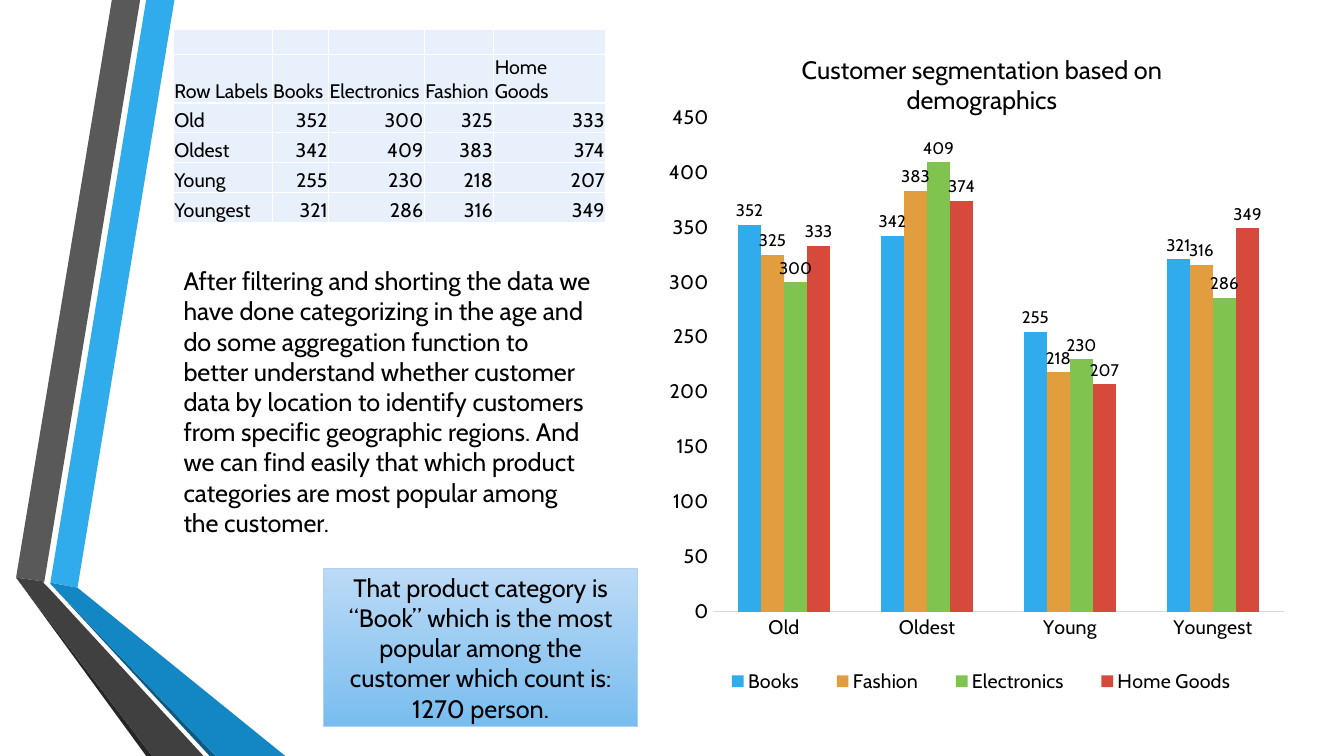
from lxml.etree import SubElement
from pptx import Presentation
from pptx.chart.data import CategoryChartData
from pptx.dml.color import RGBColor
from pptx.enum.chart import XL_CHART_TYPE as ChartType, XL_LABEL_POSITION as LabelPosition
from pptx.enum.chart import XL_LEGEND_POSITION as LegendPosition, XL_TICK_MARK as TickMark
from pptx.enum.shapes import MSO_SHAPE as Shape
from pptx.enum.text import MSO_ANCHOR as Anchor, MSO_AUTO_SIZE as AutoSize, PP_ALIGN as Align
from pptx.oxml.ns import qn
from pptx.util import Pt

FONT = "Cabin"
BLACK, WHITE = "000000", "FFFFFF"
TABLE_FILL = "E8F1FB"

# Fill and corner points of each ribbon facet
RIBBONS = [
    ("30ACEC", [(36, 416.2), (55.4, 419.8), (124.6, 0), (104.4, 0)]),
    ("595959", [(100.1, 0), (79.9, 0), (11.5, 412.6), (31.7, 415.4)]),
    ("262626", [(11.5, 412.6), (104.4, 540), (108.7, 540)]),
    ("0C5A82", [(36, 416.9), (149.8, 540), (154.1, 540)]),
    ("1287C3", [(36, 416.9), (154.1, 540), (203.8, 540), (55.4, 419.8), (36, 416.2)]),
    ("404040", [(145.4, 540), (34.6, 419.8), (31, 416.2), (31.7, 415.4),
                (11.5, 412.6), (108.7, 540)]),
]

AGE_GROUPS = ["Old", "Oldest", "Young", "Youngest"]
SALES = {
    "Books": [352, 342, 255, 321],
    "Electronics": [300, 409, 230, 286],
    "Fashion": [325, 383, 218, 316],
    "Home Goods": [333, 374, 207, 349],
}
COLUMN_WIDTHS = [70.6, 40.3, 68.4, 49.7, 79.9]
ROW_HEIGHTS = [11.5] + [21.3] * 5

CHART_TITLE = ["Customer segmentation based on", "demographics"]
SERIES_COLORS = {"Books": "30ACEC", "Fashion": "E29D3E",
                 "Electronics": "80C34F", "Home Goods": "D64A3B"}

EXPLANATION = (
    "After filtering and shorting the data we have done categorizing in the age and do "
    "some aggregation function to better understand whether customer data by location to "
    "identify customers from specific geographic regions. And we can find easily that "
    "which product categories are most popular among the customer."
)
CONCLUSION = ("That product category is “Book” which is the most popular among the "
              "customer which count is: 1270 person.")


def rgb(color):
    return RGBColor.from_string(color)


def set_font(font, size):
    font.name, font.size, font.bold = FONT, Pt(size), False
    font.color.rgb = rgb(BLACK)


def add_ribbon(page, color, points):
    corners = [(Pt(x), Pt(y)) for x, y in points]
    builder = page.shapes.build_freeform(*corners[0])
    builder.add_line_segments(corners[1:], close=True)
    ribbon = builder.convert_to_shape()
    ribbon.shadow.inherit = False
    ribbon.fill.solid()
    ribbon.fill.fore_color.rgb = rgb(color)
    ribbon.line.fill.background()


def fill_cell(cell, value):
    cell.margin_left = cell.margin_right = cell.margin_top = Pt(0.72)
    cell.margin_bottom = 0
    cell.vertical_anchor = Anchor.BOTTOM
    para = cell.text_frame.paragraphs[0]
    set_font(para.font, 14)
    if value is None:
        end = SubElement(para._p, qn("a:endParaRPr"), sz="1400")
        SubElement(end, qn("a:latin"), typeface=FONT)
    else:
        para.text = str(value)
        para.alignment = Align.RIGHT if isinstance(value, int) else Align.LEFT
    properties = cell._tc.get_or_add_tcPr()
    for side in ("lnL", "lnR", "lnT", "lnB"):
        border = SubElement(properties, qn(f"a:{side}"), w=str(Pt(1)))
        SubElement(SubElement(border, qn("a:solidFill")), qn("a:srgbClr"), val=WHITE)
    cell.fill.solid()
    cell.fill.fore_color.rgb = rgb(TABLE_FILL)


def add_sales_table(page):
    rows = [[None] * len(COLUMN_WIDTHS), ["Row Labels", *SALES]]
    rows += [list(row) for row in zip(AGE_GROUPS, *SALES.values())]
    table = page.shapes.add_table(len(rows), len(COLUMN_WIDTHS), Pt(123.8), Pt(21),
                                  Pt(sum(COLUMN_WIDTHS)), Pt(sum(ROW_HEIGHTS))).table
    for column, width in zip(table.columns, COLUMN_WIDTHS):
        column.width = Pt(width)
    for index, (row, height) in enumerate(zip(rows, ROW_HEIGHTS)):
        table.rows[index].height = Pt(height)
        for column, value in enumerate(row):
            fill_cell(table.cell(index, column), value)


def set_layout(element, index, inner=False, **fractions):
    """Place a chart part by fractions of the chart's size."""
    for old in element.findall(qn("c:layout")):
        element.remove(old)
    layout = SubElement(element, qn("c:layout"))
    element.insert(index, layout)
    manual = SubElement(layout, qn("c:manualLayout"))
    if inner:
        SubElement(manual, qn("c:layoutTarget"), val="inner")
    for mode in ("xMode", "yMode"):
        SubElement(manual, qn(f"c:{mode}"), val="edge")
    for name, value in fractions.items():
        SubElement(manual, qn(f"c:{name}"), val=str(value))


def add_sales_chart(page):
    data = CategoryChartData()
    data.categories = AGE_GROUPS
    for name, values in SALES.items():
        data.add_series(name, values)
    chart = page.shapes.add_chart(ChartType.COLUMN_CLUSTERED, Pt(468), Pt(21),
                                  Pt(465.8), Pt(495.4), data).chart
    set_font(chart.font, 11)

    title = chart.chart_title
    title.text_frame.text = "\n".join(CHART_TITLE)
    for para in title.text_frame.paragraphs:
        set_font(para.font, 18)
        para.alignment = Align.CENTER
    set_layout(title._element, 1, x=0.22, y=0.03)

    plot = chart.plots[0]
    plot.gap_width, plot.overlap, plot.vary_by_categories = 219, 0, False
    for series in plot.series:
        series.format.fill.solid()
        series.format.fill.fore_color.rgb = rgb(SERIES_COLORS[series.name])
        labels = series.data_labels
        labels.show_value = True
        labels.position = LabelPosition.OUTSIDE_END
        set_font(labels.font, 12)
    # Fashion is drawn before Electronics, though it comes later in the data
    elements = {series.name: series._element for series in plot.series}
    elements["Electronics"].addprevious(elements["Fashion"])
    set_layout(chart._chartSpace.chart.plotArea, 0, True, x=0.088, y=0.127, w=0.877, h=0.713)

    values, ages = chart.value_axis, chart.category_axis
    for axis in (values, ages):
        axis.major_tick_mark = axis.minor_tick_mark = TickMark.NONE
        axis.has_major_gridlines = False
        set_font(axis.tick_labels.font, 14)
    values.minimum_scale, values.maximum_scale, values.major_unit = 0, 450, 50
    values.format.line.fill.background()
    ages.format.line.color.rgb = rgb("D9D9D9")
    ages.format.line.width = Pt(0.75)

    chart.has_legend = True
    legend = chart.legend
    legend.position = LegendPosition.BOTTOM
    legend.include_in_layout = False
    set_font(legend.font, 14)
    set_layout(legend._element, 1, x=0.07, y=0.91, w=0.86, h=0.06)


def write(box, text, alignment):
    box.text_frame.word_wrap = True
    para = box.text_frame.paragraphs[0]
    para.text, para.alignment = text, alignment
    set_font(para.font, 18)


def add_explanation(page):
    box = page.shapes.add_textbox(Pt(124), Pt(186), Pt(308.9), Pt(203.8))
    write(box, EXPLANATION, Align.LEFT)
    box.text_frame.auto_size = AutoSize.SHAPE_TO_FIT_TEXT


def add_conclusion(page):
    box = page.shapes.add_shape(Shape.RECTANGLE, Pt(231), Pt(406), Pt(224.6), Pt(113))
    box.shadow.inherit = False
    box.fill.gradient()
    box.fill.gradient_angle = 270
    for stop, color in zip(box.fill.gradient_stops, ("BCDAF6", "78BDEF")):
        stop.color.rgb = rgb(color)
    box.line.color.rgb = rgb("AED2F4")
    box.line.width = Pt(0.75)
    box.text_frame.vertical_anchor = Anchor.MIDDLE
    write(box, CONCLUSION, Align.CENTER)


def main():
    deck = Presentation()
    deck.slide_width, deck.slide_height = Pt(960), Pt(540)
    page = deck.slides.add_slide(deck.slide_layouts[6])
    for color, points in RIBBONS:
        add_ribbon(page, color, points)
    add_sales_table(page)
    add_sales_chart(page)
    add_explanation(page)
    add_conclusion(page)
    deck.save("out.pptx")


if __name__ == "__main__":
    main()
